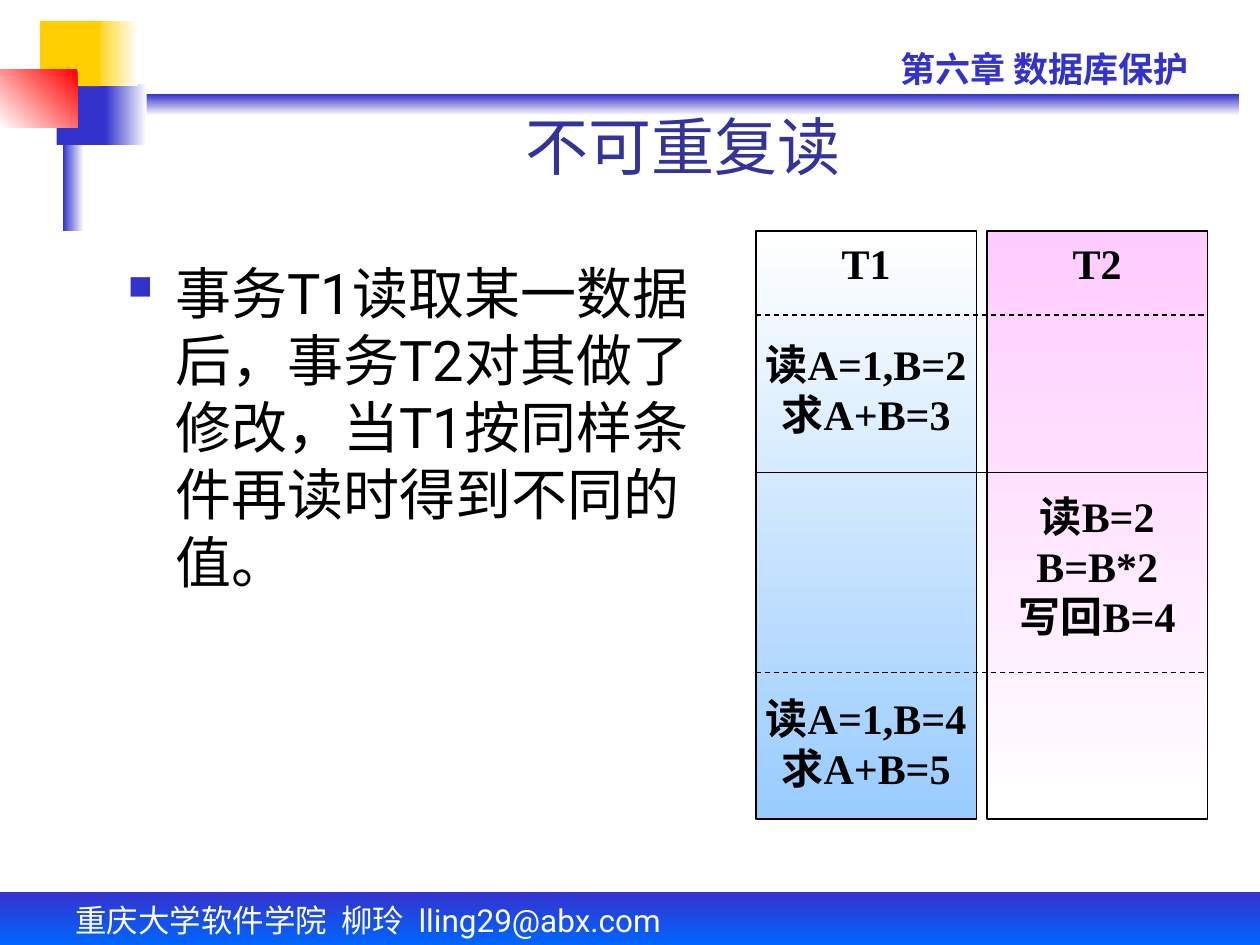
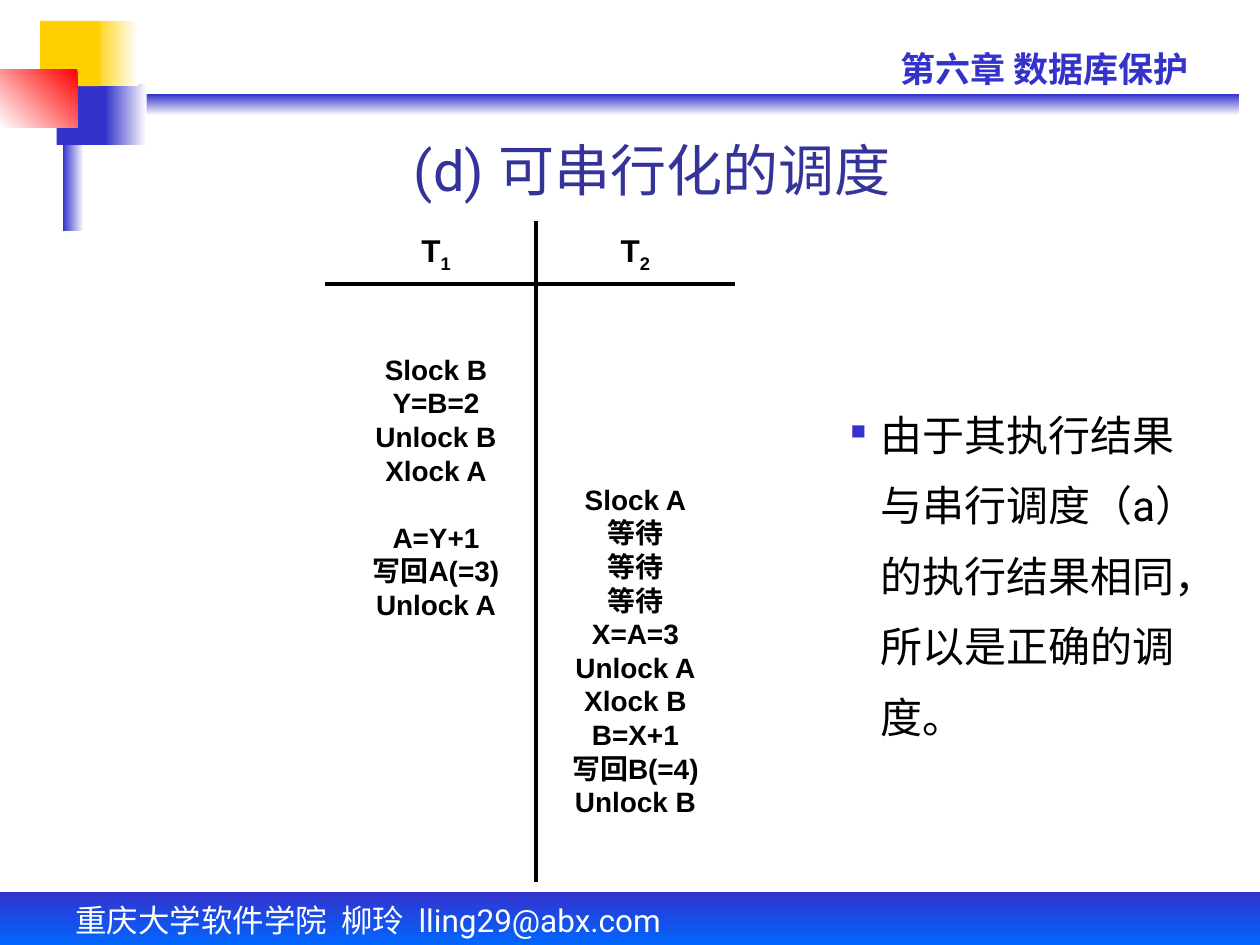
from lxml import etree
from pptx import Presentation
from pptx import util as u
from pptx.dml import color
from pptx.enum import dml, shapes, text
from pptx.oxml import ns

BLUE, NAVY, GOLD, WHITE, BLACK = "3333CC", "333399", "FFCF01", "FFFFFF", "000000"
hex_colour = color.RGBColor.from_string
CENTER = text.PP_ALIGN.CENTER
TOP, MIDDLE, BOTTOM = text.MSO_ANCHOR.TOP, text.MSO_ANCHOR.MIDDLE, text.MSO_ANCHOR.BOTTOM


def add_block(slide, place, colours=(), angle=0, outline=None):
    lengths = [u.Cm(value) for value in place]
    if not colours:
        return slide.shapes.add_textbox(*lengths)
    shape = slide.shapes.add_shape(shapes.MSO_SHAPE.RECTANGLE, *lengths)
    shape.shadow.inherit = False
    if len(colours) == 1:
        shape.fill.solid()
        shape.fill.fore_color.rgb = hex_colour(colours[0])
    else:
        shape.fill.gradient()
        shape.fill.gradient_angle = 360 - angle
        for stop, colour in zip(shape.fill.gradient_stops, colours):
            stop.color.rgb = hex_colour(colour)
    if outline:
        shape.line.color.rgb = hex_colour(outline)
        shape.line.width = u.Pt(0.75)
    else:
        shape.line.fill.background()
    return shape


def write(shape, lines, size, font="Roboto", colour=BLACK, bold=False,
          align=None, anchor=TOP, wrap=True, before=0):
    frame = shape.text_frame
    frame.text = "\n".join(lines)
    frame.word_wrap = wrap
    frame.vertical_anchor = anchor
    for paragraph in frame.paragraphs:
        paragraph.alignment = align
        paragraph.space_before = u.Pt(before)
        for run in paragraph.runs:
            run.font.size = u.Pt(size)
            run.font.name = font
            run.font.bold = bold
            run.font.color.rgb = hex_colour(colour)
    return frame.paragraphs


presentation = Presentation()
presentation.slide_width = u.Cm(25.4)
presentation.slide_height = u.Cm(19.05)

decorations = [
    ((1.48, 1.9, 23.5, 0.43), (BLUE, WHITE), 90),
    ((2.12, 1.7, 0.84, 1.22), (WHITE, BLUE), 180),
    ((0, 17.98, 25.4, 1.07), (BLUE, "0066FF"), 90),
    ((1.27, 1.48, 0.42, 3.18), (WHITE, BLUE), 180),
    ((1.14, 1.7, 0.98, 1.22), (BLUE,), 0),
    ((1.88, 0.42, 0.9, 1.32), (WHITE, GOLD), 180),
    ((0.81, 0.42, 1.21, 1.32), (GOLD,), 0),
    ((0, 1.4, 1.56, 1.18), ("FF0000", WHITE), 135),
]
titles = [
    ("不可重复读", 36, (2.96, 2.54, 21.6, 1.27)),
    ("(d) 可串行化的调度", 32, (3.1, 2.52, 20.1, 1.7)),
]
bodies = [
    ("事务T1读取某一数据后，事务T2对其做了修改，当T1按同样条件再读时得到不同的值。",
     32, (2.33, 5.08, 11.85, 12.27), 8, 1, 0.95, 60),
    ("由于其执行结果与串行调度（a）的执行结果相同，所以是正确的调度。",
     24, (16.9, 7.72, 7.77, 5.94), 6, 1.4, 0.6, 50),
]

slides = []
for (title, title_size, title_place), body in zip(titles, bodies):
    slide = presentation.slides.add_slide(presentation.slide_layouts[6])
    slides.append(slide)
    for place, colours, angle in decorations:
        add_block(slide, place, colours, angle)
    write(add_block(slide, (1.27, 18.03, 14.2, 1.02)),
          ["重庆大学软件学院  柳玲  lling29@abx.com"], 18, colour=WHITE, before=11.2)
    write(add_block(slide, (17.9, 0.84, 7.1, 1.12)),
          ["第六章 数据库保护"], 20, colour=BLUE, bold=True, before=12.5)
    write(add_block(slide, title_place), [title], title_size,
          colour=NAVY, align=CENTER, anchor=BOTTOM)

    body_text, body_size, body_place, before, spacing, indent, bullet_size = body
    paragraph = write(add_block(slide, body_place), [body_text], body_size, before=before)[0]
    paragraph.line_spacing = spacing
    properties = paragraph._p.get_or_add_pPr()
    properties.set("marL", str(u.Cm(indent)))
    properties.set("indent", str(-u.Cm(indent)))
    bullet_colour = etree.SubElement(properties, ns.qn("a:buClr"))
    etree.SubElement(bullet_colour, ns.qn("a:srgbClr"), val=BLUE)
    etree.SubElement(properties, ns.qn("a:buSzPct"), val=str(bullet_size * 1000))
    etree.SubElement(properties, ns.qn("a:buChar"), char="■")

reread_slide, schedule_slide = slides

LINE_STEP = 28.9
transactions = [
    (15.24, (WHITE, "99CCFF"),
     ["T1", "读A=1,B=2", "求A+B=3", "读A=1,B=4", "求A+B=5"], {1: 1, 3: 5}),
    (19.9, ("FFCCFF", WHITE), ["T2", "读B=2", "B=B*2", "写回B=4"], {1: 4}),
]
for left, colours, steps, gaps in transactions:
    column = add_block(reread_slide, (left, 4.66, 4.44, 11.85), colours, 90, BLACK)
    paragraphs = write(column, steps, 24, "Times New Roman", bold=True,
                       align=CENTER, wrap=False)
    for index, skipped in gaps.items():
        paragraphs[index].space_before = u.Pt(skipped * LINE_STEP)

rules = [
    (reread_slide, (15.24, 6.35, 24.34, 6.35), 0.75, True),
    (reread_slide, (15.24, 9.52, 24.34, 9.52), 0.75, False),
    (reread_slide, (15.24, 13.55, 24.34, 13.55), 0.75, True),
    (schedule_slide, (6.56, 5.72, 14.82, 5.72), 2.25, False),
    (schedule_slide, (10.8, 4.45, 10.8, 17.78), 2.25, False),
]
for slide, ends, width, dashed in rules:
    rule = slide.shapes.add_connector(shapes.MSO_CONNECTOR.STRAIGHT,
                                      *[u.Cm(value) for value in ends])
    rule.line.color.rgb = hex_colour(BLACK)
    rule.line.width = u.Pt(width)
    if dashed:
        rule.line.dash_style = dml.MSO_LINE.DASH
    etree.SubElement(rule._element.spPr, ns.qn("a:effectLst"))

schedules = [
    ("1", 6.78, 6.98, ["Slock B", "Y=B=2", "Unlock B", "Xlock A",
                       "A=Y+1", "写回A(=3)", "Unlock A"], 4),
    ("2", 10.8, 9.6, ["Slock A", "等待", "等待", "等待", "X=A=3", "Unlock A",
                      "Xlock B", "B=X+1", "写回B(=4)", "Unlock B"], None),
]
for number, left, top, steps, pause in schedules:
    heading = write(add_block(schedule_slide, (left, 4.45, 4.02, 1.27)), ["T"], 18,
                    "Arial", bold=True, align=CENTER, anchor=MIDDLE, wrap=False)[0]
    subscript = heading.add_run()
    subscript.text = number
    subscript.font.size = u.Pt(18)
    subscript.font.name = "Arial"
    subscript.font.bold = True
    subscript.font.color.rgb = hex_colour(BLACK)
    subscript._r.get_or_add_rPr().set("baseline", "-25000")

    column = add_block(schedule_slide, (left, top, 4.02, 17.78 - top))
    paragraphs = write(column, steps, 16, "Arial", bold=True, align=CENTER, wrap=False)
    if pause:
        paragraphs[pause].space_before = u.Pt(19.2)

presentation.save("out.pptx")
